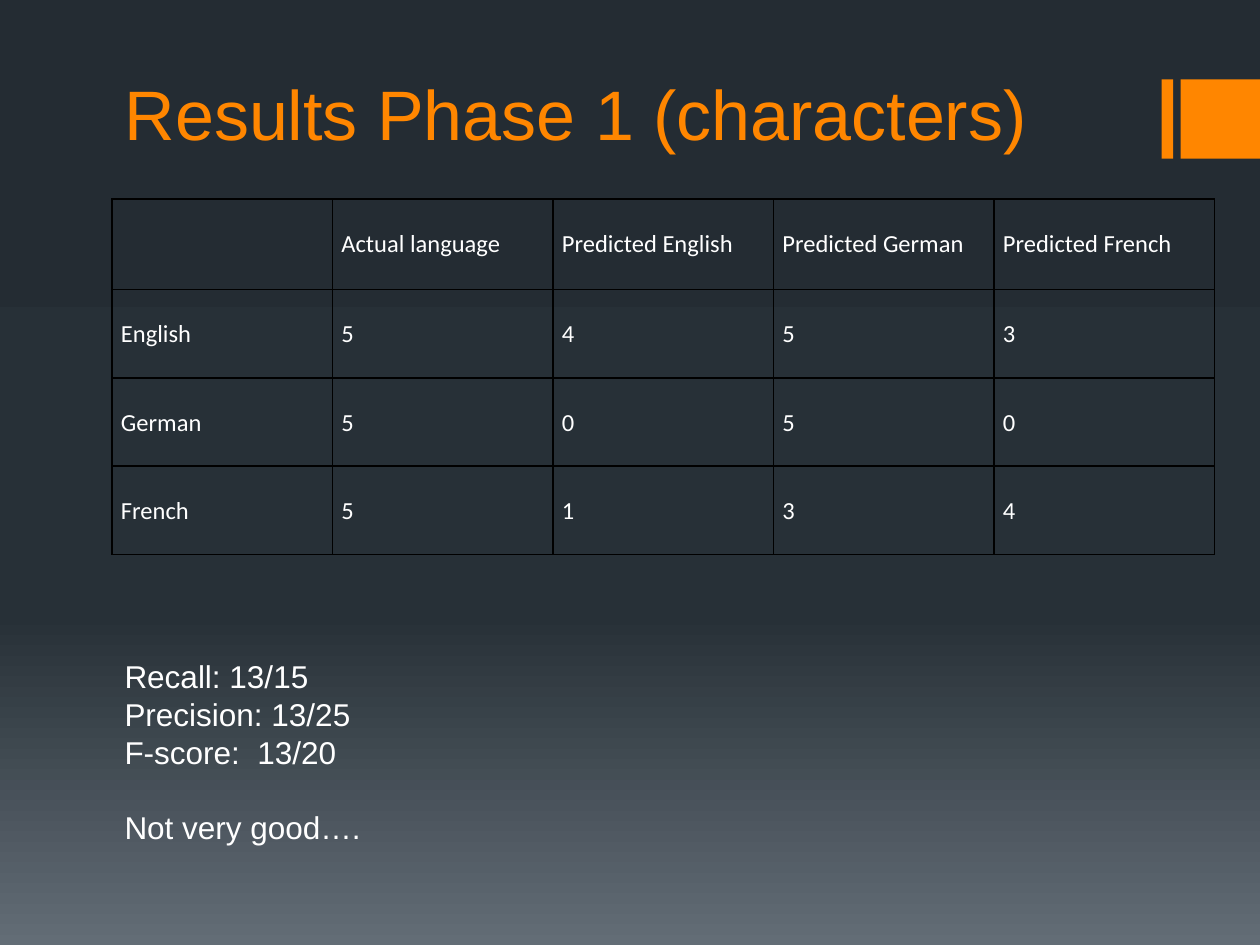
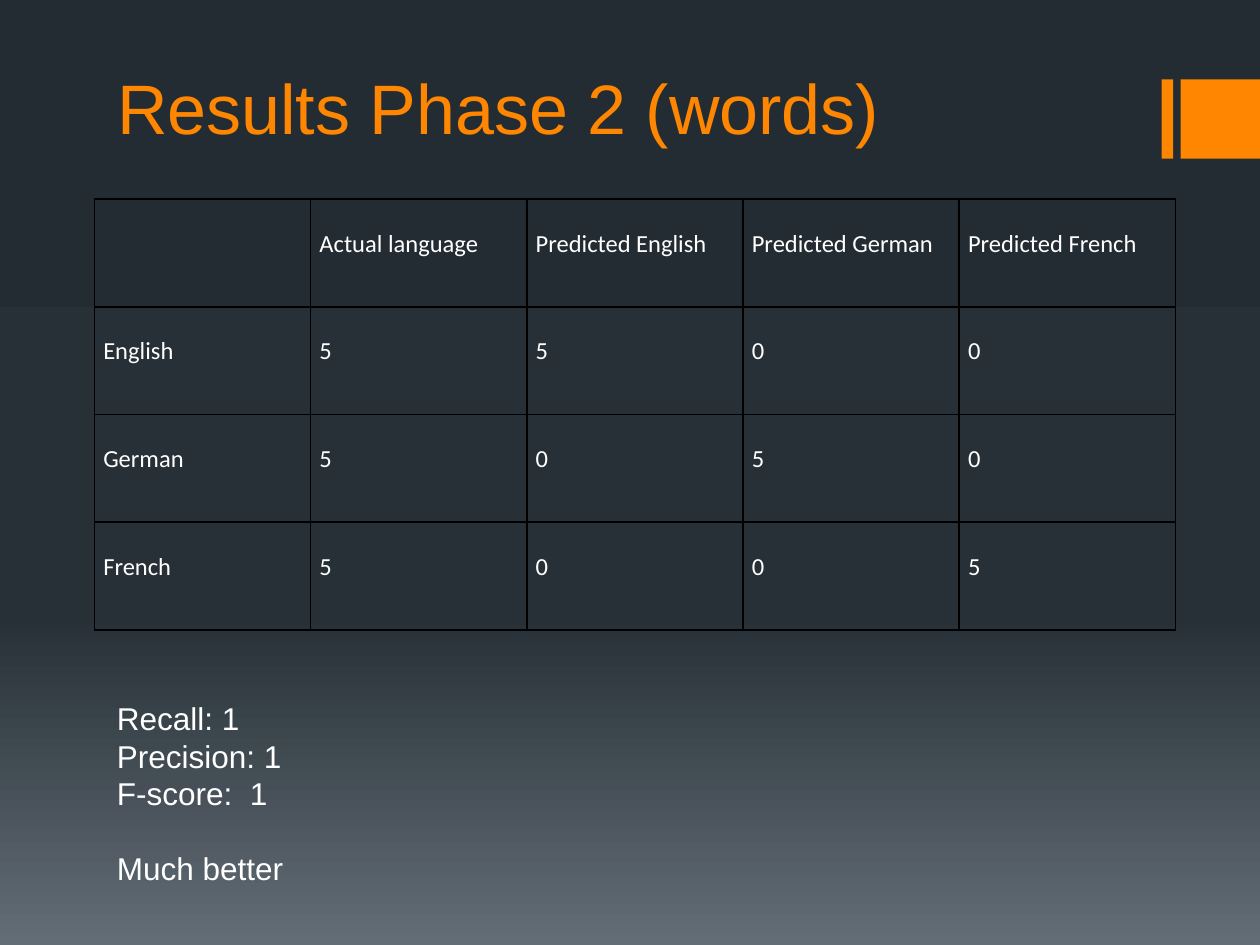
from copy import deepcopy
from dataclasses import dataclass

from lxml import etree
from pptx import Presentation
from pptx.dml.color import RGBColor
from pptx.enum.shapes import MSO_SHAPE
from pptx.enum.text import MSO_ANCHOR, MSO_AUTO_SIZE, PP_ALIGN
from pptx.oxml.ns import qn
from pptx.util import Inches, Pt

RECTANGLE = MSO_SHAPE.RECTANGLE
BOTTOM, TOP = MSO_ANCHOR.BOTTOM, MSO_ANCHOR.TOP
LEFT = PP_ALIGN.LEFT
NO_AUTOFIT = MSO_AUTO_SIZE.NONE
TITLE_ONLY = 5


@dataclass(frozen=True)
class Theme:
    accent: str = "FF8600"
    text: str = "FFFFFF"
    border: str = "000000"
    background: tuple = ((0, "242C33"), (0.65, "273037"), (1, "636D76"))
    font: str = "Arial"
    table_font: str = "Calibri"
    title_size: int = 40
    body_size: int = 18
    table_size: int = 14
    body_line: float = 21.5
    border_width: int = 1


theme = Theme()
bands = [(9.22, 0.09), (9.37, 0.63)]  # left, width
header = ["", "Actual language", "Predicted English", "Predicted German", "Predicted French"]

# Positions are left, top, width, height
results = [
    {
        "title": "Results Phase 1 (characters)",
        "title_at": (0.89, 0.02, 8, 1.26),
        "rows": [["English", 5, 4, 5, 3], ["German", 5, 0, 5, 0], ["French", 5, 1, 3, 4]],
        "table_at": (0.89, 1.58, 8.75, 2.82),
        "row_heights": [0.72, 0.7, 0.7, 0.7],
        "scores": ["Recall: 13/15", "Precision: 13/25", "F-score:  13/20"],
        "verdict": "Not very good….",
        "scores_at": (0.89, 5.17, 8.33, 1.62),
    },
    {
        "title": "Results Phase 2 (words)",
        "title_at": (0.83, -0.03, 8, 1.26),
        "rows": [["English", 5, 5, 0, 0], ["German", 5, 0, 5, 0], ["French", 5, 0, 0, 5]],
        "table_at": (0.75, 1.58, 8.58, 3.42),
        "row_heights": [0.855] * 4,
        "scores": ["Recall: 1", "Precision: 1", "F-score:  1"],
        "verdict": "Much better",
        "scores_at": (0.83, 5.5, 8.5, 1.62),
    },
]


def style_paragraph(paragraph, font_name, size, color):
    paragraph.alignment = LEFT
    paragraph.font.name = font_name
    paragraph.font.size = Pt(size)
    paragraph.font.color.rgb = RGBColor.from_string(color)


def add_cell_borders(cell):
    properties = cell._tc.get_or_add_tcPr()
    for position, side in enumerate(("a:lnL", "a:lnR", "a:lnT", "a:lnB")):
        line = etree.Element(qn(side), w=str(Pt(theme.border_width)))
        fill = etree.SubElement(line, qn("a:solidFill"))
        etree.SubElement(fill, qn("a:srgbClr"), val=theme.border)
        properties.insert(position, line)


presentation = Presentation()
presentation.slide_width = Inches(10)
presentation.slide_height = Inches(7.5)

# Shared gradient background, running from top to bottom
master = presentation.slide_master
background_fill = master.background.fill
background_fill.gradient()
background_fill.gradient_angle = 270
stop_list = next(master.element.iter(qn("a:gsLst")))
stop_list.append(deepcopy(stop_list[-1]))
for stop, (position, color) in zip(background_fill.gradient_stops, theme.background):
    stop.position = position
    stop.color.rgb = RGBColor.from_string(color)

for result in results:
    slide = presentation.slides.add_slide(presentation.slide_layouts[TITLE_ONLY])

    # Accent bands
    for left, width in bands:
        band = slide.shapes.add_shape(
            RECTANGLE, Inches(left), Inches(0.63), Inches(width), Inches(0.63))
        band.shadow.inherit = False
        band.fill.solid()
        band.fill.fore_color.rgb = RGBColor.from_string(theme.accent)
        band.line.fill.background()

    # Title
    title = slide.shapes.title
    title.left, title.top, title.width, title.height = map(Inches, result["title_at"])
    title.text_frame.text = result["title"]
    title.text_frame.auto_size = NO_AUTOFIT
    title.text_frame.vertical_anchor = BOTTOM
    style_paragraph(title.text_frame.paragraphs[0], theme.font, theme.title_size, theme.accent)

    # Confusion matrix
    rows = [header] + result["rows"]
    table = slide.shapes.add_table(
        len(rows), len(header), *map(Inches, result["table_at"])).table
    table.first_row = False
    table.horz_banding = False
    for row, height, values in zip(table.rows, result["row_heights"], rows):
        row.height = Inches(height)
        for cell, value in zip(row.cells, values):
            cell.text = str(value)
            cell.fill.background()
            cell.vertical_anchor = TOP
            cell.margin_left = cell.margin_right = Inches(0.07)
            cell.margin_top = cell.margin_bottom = 0
            paragraph = cell.text_frame.paragraphs[0]
            paragraph.line_spacing = 2.0
            style_paragraph(paragraph, theme.table_font, theme.table_size, theme.text)
            add_cell_borders(cell)

    # Scores, with the verdict set apart below
    scores = slide.shapes.add_textbox(*map(Inches, result["scores_at"])).text_frame
    scores.word_wrap = True
    scores.text = "\n".join(result["scores"] + [result["verdict"]])
    for paragraph in scores.paragraphs:
        paragraph.line_spacing = Pt(theme.body_line)
        style_paragraph(paragraph, theme.font, theme.body_size, theme.text)
    scores.paragraphs[-1].space_before = Pt(theme.body_line)

presentation.save("out.pptx")
